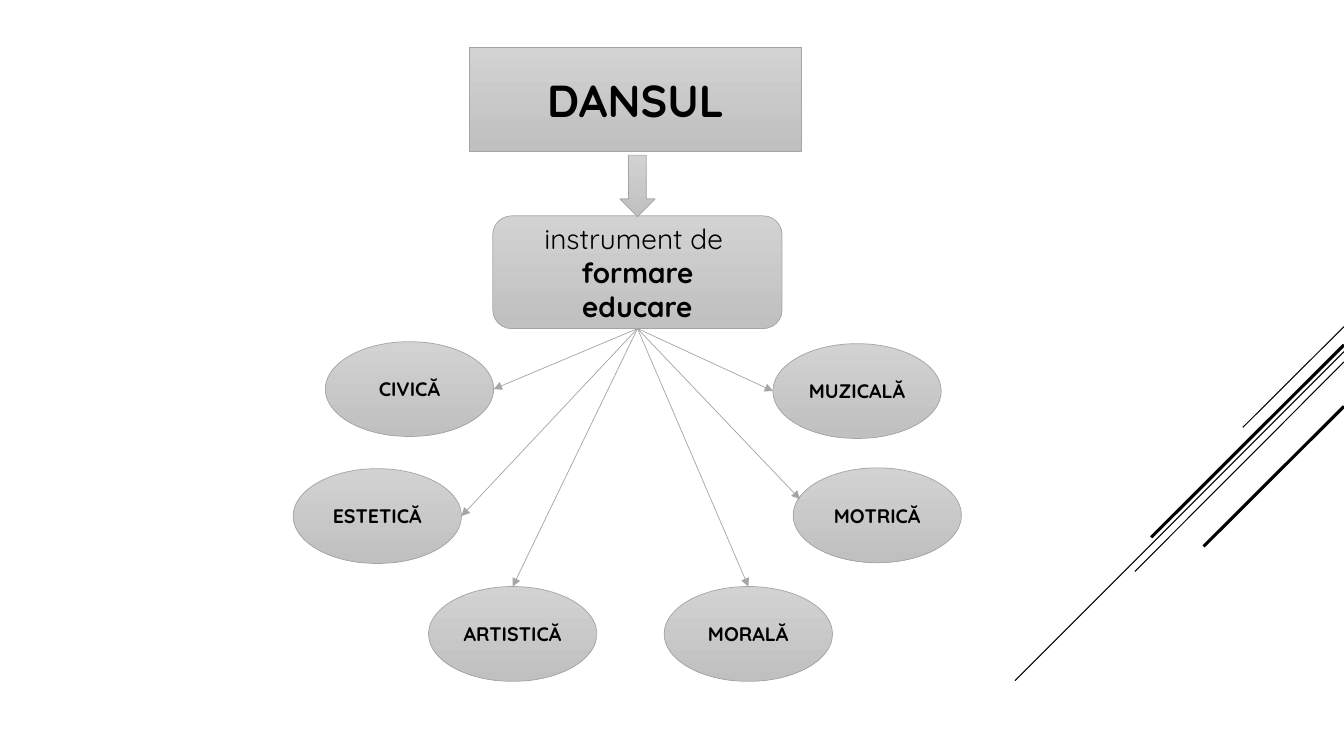
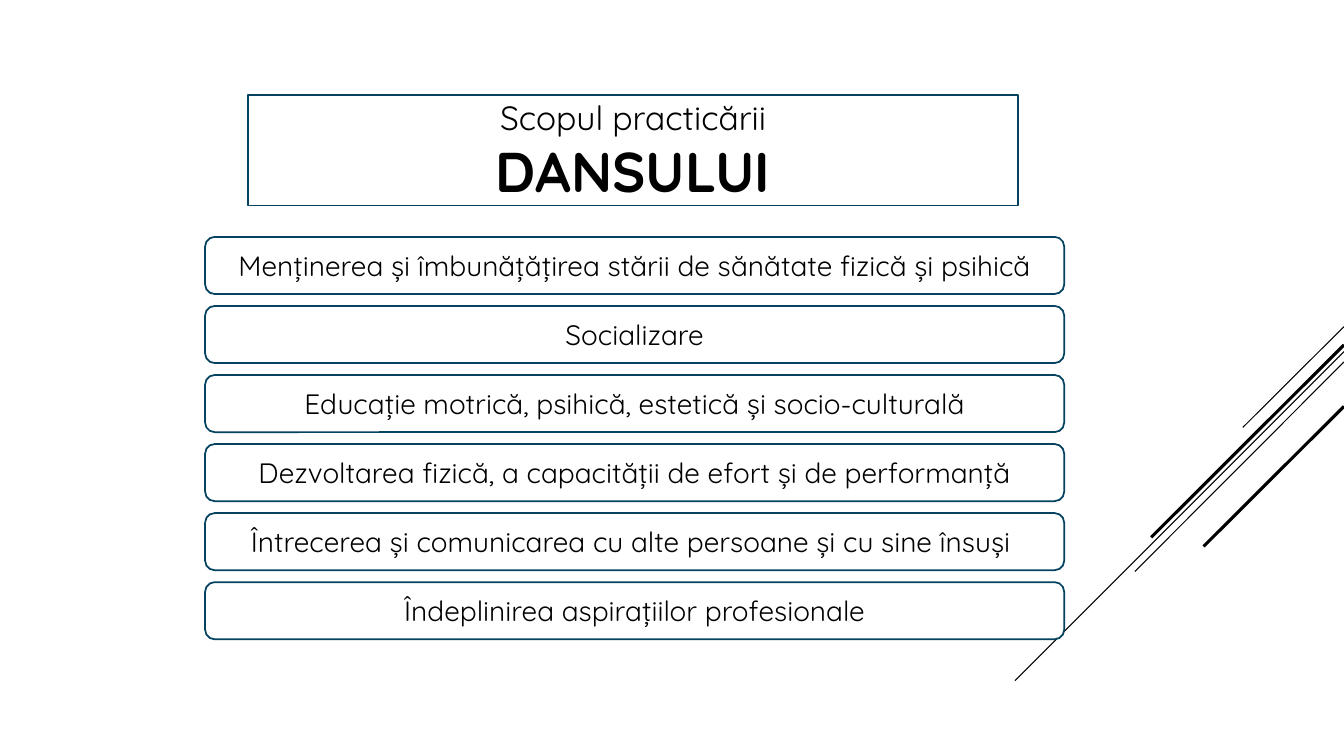
from pptx import Presentation
from pptx.dml.color import RGBColor
from pptx.enum.shapes import MSO_CONNECTOR, MSO_SHAPE as Preset
from pptx.enum.text import MSO_ANCHOR, MSO_AUTO_SIZE, PP_ALIGN
from pptx.oxml.ns import qn
from pptx.util import Cm, Pt
from lxml.etree import SubElement

FONT = "Quicksand"
BLACK, WHITE, NAVY, GRAY = "000000", "FFFFFF", "054361", "A5A5A5"
GRADIENT = ("D2D2D2", "C0C0C0")
WIDTH, HEIGHT = 33.87, 19.05
BOTTOM_SITE = 2

# Diagonals from the right edge: start y, end x, end y, line width
DIAGONALS = [
    (8.23, 31.32, 10.77, 0.75),
    (8.86, 25.58, 17.15, 0.75),
    (9.12, 28.6, 14.4, 0.75),
    (8.69, 29.01, 13.54, 2.25),
    (10.24, 30.33, 13.77, 2.25),
]

DANCE_BOX = (11.84, 1.19, 8.36, 2.62)
ARROW_BOX = (15.62, 3.91, 0.89, 1.55)
ROLE_BOX = (12.42, 5.44, 7.29, 2.84)
ROLE = [("instrument de ", 20, False), ("formare", 20, True), ("educare", 20, True)]

# Name, left, top, and where its arrow ends as fractions of the ellipse
BRANCH_SIZE = (4.24, 2.39)
BRANCHES = [
    ("MUZICALĂ", 19.48, 8.66, (0, 0.5)),
    ("MOTRICĂ", 19.99, 11.79, (0.04, 0.33)),
    ("MORALĂ", 16.74, 14.78, (0.5, 0)),
    ("ARTISTICĂ", 10.8, 14.78, (0.5, 0)),
    ("ESTETICĂ", 7.39, 11.81, (1, 0.5)),
    ("CIVICĂ", 8.2, 8.61, (1, 0.5)),
]

PURPOSE_BOX = (6.25, 2.39, 19.41, 2.79)
PURPOSE = [("Scopul practicării", 24, False), ("DANSULUI", 40, True)]
GOAL_LEFT, GOAL_TOP, GOAL_PITCH = 5.17, 5.97, 1.74
GOAL_SIZE = (21.65, 1.44)
GOALS = [
    "Menținerea și îmbunățățirea stării de sănătate fizică și psihică",
    "Socializare",
    "Educație motrică, psihică, estetică și socio-culturală",
    "Dezvoltarea fizică, a capacității de efort și de performanță",
    "Întrecerea și comunicarea cu alte persoane și cu sine însuși ",
    "Îndeplinirea aspirațiilor profesionale",
]


def color(hex_string):
    return RGBColor.from_string(hex_string)


def write(shape, lines, ink=BLACK, font=FONT, align=PP_ALIGN.CENTER):
    """Fill a shape with (text, size, bold) paragraphs."""
    frame = shape.text_frame
    frame.word_wrap = True
    frame.auto_size = MSO_AUTO_SIZE.NONE
    frame.vertical_anchor = MSO_ANCHOR.MIDDLE
    frame.margin_left = frame.margin_right = Cm(0.1)
    frame.margin_top = frame.margin_bottom = 0
    for number, (text, size, bold) in enumerate(lines):
        paragraph = frame.add_paragraph() if number else frame.paragraphs[0]
        paragraph.alignment = align
        run = paragraph.add_run()
        run.text = text
        run.font.name, run.font.size, run.font.bold = font, Pt(size), bold
        run.font.color.rgb = color(ink)


def paint_gray(shape):
    shape.fill.gradient()
    shape.fill.gradient_angle = 270
    for stop, shade in zip(shape.fill.gradient_stops, GRADIENT):
        stop.color.rgb = color(shade)
    shape.line.color.rgb = color(GRAY)
    shape.line.width = Pt(0.5)


def paint_outlined(shape):
    shape.fill.solid()
    shape.fill.fore_color.rgb = color(WHITE)
    shape.line.color.rgb = color(NAVY)
    shape.line.width = Pt(1.25)


def add_block(slide, preset, box, paint, lines=()):
    block = slide.shapes.add_shape(preset, *map(Cm, box))
    block.shadow.inherit = False
    paint(block)
    write(block, lines)
    return block


def shape_title(slide, preset_name, box, paint, lines):
    """Place the title placeholder and give it a preset outline."""
    title = slide.shapes.title
    title.left, title.top, title.width, title.height = map(Cm, box)
    outline = SubElement(title._element.spPr, qn("a:prstGeom"), prst=preset_name)
    SubElement(outline, qn("a:avLst"))
    paint(title)
    write(title, lines)


def add_line(slide, start, end, ink, width, arrow=False):
    line = slide.shapes.add_connector(MSO_CONNECTOR.STRAIGHT, *map(Cm, start + end))
    line.line.color.rgb = color(ink)
    line.line.width = Pt(width)
    if arrow:
        SubElement(line.line._get_or_add_ln(), qn("a:tailEnd"), type="triangle")
    SubElement(line._element.spPr, qn("a:effectLst"))
    return line


def decorate_layout(layout, slide):
    """Draw the diagonals on a slide and move them to its layout."""
    for number, (top, end_x, end_y, width) in enumerate(DIAGONALS):
        diagonal = add_line(slide, (WIDTH, top), (end_x, end_y), BLACK, width)._element
        diagonal.nvCxnSpPr.cNvPr.set("id", str(100 + number))
        layout.shapes._spTree.append(diagonal)


def build_diagram(slide):
    shape_title(slide, "ellipse", DANCE_BOX, paint_gray, [("DANSUL", 32, True)])
    role = add_block(slide, Preset.ROUNDED_RECTANGLE, ROLE_BOX, paint_gray, ROLE)
    add_block(slide, Preset.DOWN_ARROW, ARROW_BOX, paint_gray)
    left, top, width, height = ROLE_BOX
    hub = (left + width / 2, top + height)
    branch_width, branch_height = BRANCH_SIZE
    for name, x, y, (across, down) in BRANCHES:
        add_block(slide, Preset.OVAL, (x, y) + BRANCH_SIZE, paint_gray, [(name, 14, True)])
        tip = (x + across * branch_width, y + down * branch_height)
        arrow = add_line(slide, hub, tip, GRAY, 0.5, arrow=True)
        arrow.begin_connect(role, BOTTOM_SITE)


def build_goals(slide):
    shape_title(slide, "roundRect", PURPOSE_BOX, paint_outlined, PURPOSE)
    for row, goal in enumerate(GOALS):
        box = (GOAL_LEFT, GOAL_TOP + row * GOAL_PITCH) + GOAL_SIZE
        add_block(slide, Preset.ROUNDED_RECTANGLE, box, paint_outlined, [(goal, 20, False)])


def main():
    deck = Presentation()
    deck.slide_width, deck.slide_height = Cm(WIDTH), Cm(HEIGHT)
    title_only = deck.slide_layouts[5]
    diagram, goals = (deck.slides.add_slide(title_only) for _ in range(2))
    decorate_layout(title_only, diagram)
    build_diagram(diagram)
    build_goals(goals)
    deck.save("out.pptx")


if __name__ == "__main__":
    main()
